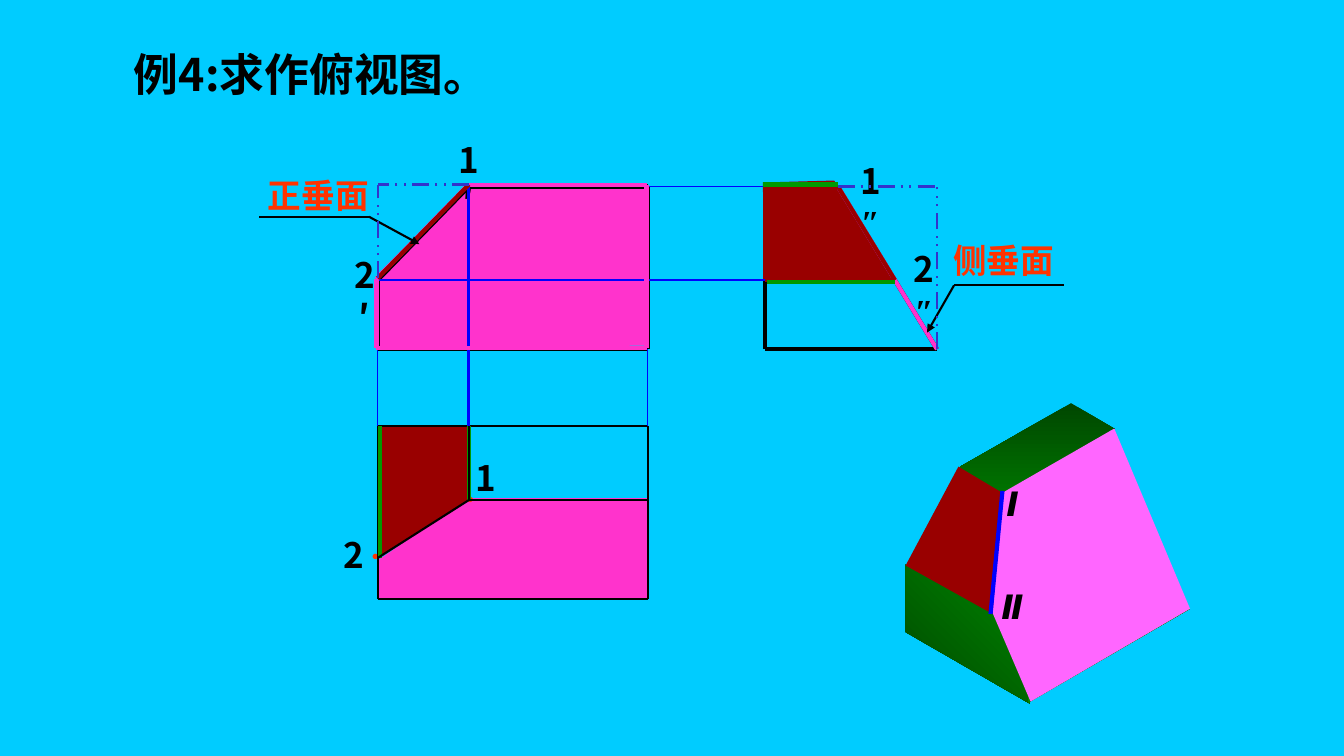
import lxml.etree
import pptx
import pptx.dml.color
import pptx.enum.dml
import pptx.enum.shapes
import pptx.enum.text
import pptx.oxml.ns
import pptx.util

Cm = pptx.util.Cm
Pt = pptx.util.Pt
RGBColor = pptx.dml.color.RGBColor
qn = pptx.oxml.ns.qn

SKY = RGBColor(0x00, 0xCC, 0xFF)
BLACK = RGBColor(0x00, 0x00, 0x00)
BLUE = RGBColor(0x00, 0x00, 0xFF)
INDIGO = RGBColor(0x33, 0x33, 0xCC)
DARK_RED = RGBColor(0x99, 0x00, 0x00)
ORANGE = RGBColor(0xFF, 0x33, 0x00)
PINK = RGBColor(0xFF, 0x33, 0xCC)
LIGHT_PINK = RGBColor(0xFF, 0x66, 0xFF)
GREEN = RGBColor(0x00, 0x99, 0x00)
MID_GREEN = RGBColor(0x00, 0x7A, 0x00)
DARK_GREEN = RGBColor(0x00, 0x47, 0x00)

SANS = "Noto Sans CJK SC"
SERIF = "Times New Roman"
LATO = "Lato"

LEFT, CUT, RIGHT = 9.52, 11.82, 16.33
BACK, RIDGE, BEND, FRONT = 19.28, 21.12, 22.56, 23.62
TOP, STEP, BASE = 4.7, 7.06, 8.8
REAR, FOLD_1, FOLD_2, FACE = 10.74, 12.6, 14.06, 15.09

presentation = pptx.Presentation()
presentation.slide_width = Cm(33.88)
presentation.slide_height = Cm(19.05)
slide = presentation.slides.add_slide(presentation.slide_layouts[5])
slide.background.fill.solid()
slide.background.fill.fore_color.rgb = SKY


def add_face(points, colors, angle=0):
    corners = [(Cm(x), Cm(y)) for x, y in points]
    builder = slide.shapes.build_freeform(*corners[0])
    builder.add_line_segments(corners[1:], close=True)
    shape = builder.convert_to_shape()
    shape.shadow.inherit = False
    shape.line.fill.background()
    if len(colors) == 1:
        shape.fill.solid()
        shape.fill.fore_color.rgb = colors[0]
    else:
        shape.fill.gradient()
        shape.fill.gradient_angle = angle
        for stop, color in zip(shape.fill.gradient_stops, colors):
            stop.color.rgb = color


def add_edges(points, color, width, dash=None, arrow=False):
    for start, end in zip(points, points[1:]):
        connector = slide.shapes.add_connector(
            pptx.enum.shapes.MSO_CONNECTOR.STRAIGHT, *[Cm(value) for value in start + end])
        connector.line.color.rgb = color
        connector.line.width = Pt(width)
        if dash:
            connector.line.dash_style = dash
        properties = connector._element.spPr
        if arrow and start == points[0]:
            lxml.etree.SubElement(properties.find(qn("a:ln")), qn("a:headEnd"), type="triangle")
        lxml.etree.SubElement(properties, qn("a:effectLst"))


title = slide.shapes.title
title.left, title.top, title.width, title.height = Cm(3.12), Cm(1.04), Cm(9.93), Cm(1.63)
title.text_frame.text = "例4:求作俯视图。"
title.text_frame.word_wrap = True
title.text_frame.auto_size = pptx.enum.text.MSO_AUTO_SIZE.NONE
title.text_frame.vertical_anchor = pptx.enum.text.MSO_ANCHOR.TOP
paragraph = title.text_frame.paragraphs[0]
paragraph.alignment = pptx.enum.text.PP_ALIGN.LEFT
run = paragraph.runs[0]
run.font.name = SANS
run.font.size = Pt(32)
run.font.bold = True
run.font.color.rgb = BLACK
lxml.etree.SubElement(run.font._element, qn("a:ea"), typeface=SANS)

faces = [
    ([(19.23, 4.6), (BACK, STEP), (22.5, 7.01), (21.03, 4.55)], [DARK_RED], 0),
    ([(LEFT, 6.91), (LEFT, 8.76), (RIGHT, 8.71), (16.28, 4.65), (11.91, 4.62)], [PINK], 0),
    ([(LEFT, FACE), (RIGHT, FACE), (RIGHT, 12.55), (CUT, 12.55), (LEFT, 14.12)], [PINK], 0),
    ([(LEFT, REAR), (CUT, REAR), (CUT, FOLD_1), (LEFT, FOLD_2)], [DARK_RED], 0),
    ([(22.83, 12.55), (25.91, 14.33), (30.02, 11.94), (27, 10.16)], [DARK_GREEN, GREEN], 270),
    ([(22.83, 12.52), (25.96, 14.25), (25.96, 17.73), (22.83, 15.93)], [DARK_GREEN, GREEN], 45),
    ([(25.93, 14.25), (25.93, 17.7), (30, 15.34), (30, 11.91)], [GREEN, MID_GREEN], 315),
    ([(28.12, 10.8), (30.18, 11.81), (30.02, 15.42), (27.97, 10.87)], [SKY], 0),
    ([(24.03, 13.13), (28.09, 10.8), (30, 15.34), (25.98, 17.68)], [LIGHT_PINK], 0),
    ([(24.13, 11.4), (22.3, 12.24), (22.4, 13.94), (22.96, 14.3), (24.38, 11.38)], [SKY], 0),
    ([(24.16, 11.76), (25.27, 12.42), (25.02, 15.47), (22.83, 14.25)], [DARK_RED], 0),
]
for points, colors, angle in faces:
    add_face(points, colors, angle)

labels = [
    ("2′", 8.81, 6.4, 0.76, 1.07, 25, SANS, BLACK),
    ("2″", 22.81, 6.25, 0.97, 1.07, 25, SANS, BLACK),
    ("1′", 11.43, 3.48, 0.76, 1.07, 25, SANS, BLACK),
    ("1″", 21.46, 4.01, 0.97, 1.07, 25, SANS, BLACK),
    ("1", 11.99, 11.51, 0.51, 1.07, 25, SANS, BLACK),
    ("2", 8.66, 13.44, 0.51, 1.07, 25, SANS, BLACK),
    ("Ⅰ", 25.32, 12.17, 0.41, 1.02, 24, LATO, BLACK),
    ("Ⅱ", 25.17, 14.76, 0.71, 1.02, 24, LATO, BLACK),
    ("●", 11.51, 12.24, 0.69, 0.64, 9, SERIF, ORANGE),
    ("●", 9.12, 13.69, 0.69, 0.64, 9, SERIF, ORANGE),
    ("正垂面", 6.5, 4.29, 3.05, 1.27, 24, SANS, ORANGE),
    ("侧垂面", 23.77, 5.92, 3.05, 1.27, 24, SANS, ORANGE),
]
for text, left, top, width, height, size, font_name, color in labels:
    box = slide.shapes.add_textbox(Cm(left), Cm(top), Cm(width), Cm(height))
    frame = box.text_frame
    frame.word_wrap = True
    if color == BLACK:
        frame.margin_left = frame.margin_right = frame.margin_top = frame.margin_bottom = 0
    else:
        frame.vertical_anchor = pptx.enum.text.MSO_ANCHOR.MIDDLE
    paragraph = frame.paragraphs[0]
    paragraph.alignment = pptx.enum.text.PP_ALIGN.CENTER
    paragraph.text = text.rstrip("″")
    if text.endswith("″"):
        paragraph.add_run().text = "″"
    for run in paragraph.runs:
        is_mark = run.text == "″"
        run_font = SERIF if is_mark else font_name
        run.font.name = run_font
        run.font.size = Pt(24 if is_mark else size)
        run.font.bold = True
        if font_name == LATO:
            run.font.italic = True
        run.font.color.rgb = color
        lxml.etree.SubElement(run.font._element, qn("a:ea"), typeface=run_font)

front_outline = [(CUT, TOP), (RIGHT, TOP), (RIGHT, BASE), (LEFT, BASE), (LEFT, STEP), (CUT, TOP)]
pink_outline = [(x - 0.03, y - 0.03) for x, y in front_outline]
dash = pptx.enum.dml.MSO_LINE.DASH_DOT_DOT

add_edges([(RIDGE, TOP), (FRONT, BASE), (BACK, BASE), (BACK, TOP), (RIDGE, TOP)], BLACK, 3)
add_edges(front_outline, BLACK, 3)
add_edges([(LEFT, REAR), (RIGHT, REAR), (RIGHT, FACE), (LEFT, FACE), (LEFT, REAR)], BLACK, 1.5)
add_edges([(CUT, TOP), (CUT, FOLD_1)], BLUE, 0)
add_edges([(RIDGE, TOP), (FRONT, BASE)], PINK, 3)
add_edges([(BACK, TOP), (RIDGE, TOP), (BEND, STEP), (BACK, STEP), (BACK, TOP)], DARK_RED, 3)
add_edges([(LEFT, STEP), (BACK, STEP)], BLUE, 1)
add_edges([(CUT, TOP), (BACK, TOP)], BLUE, 1)
add_edges([(LEFT, BASE), (LEFT, REAR)], BLUE, 1)
add_edges([(RIGHT, BASE), (RIGHT, REAR)], BLUE, 1)
add_edges([(25.27, 12.37), (24.97, 15.47)], BLUE, 3)
add_edges([(19.23, 4.65), (RIDGE, 4.65)], GREEN, 3)
add_edges([(CUT, REAR), (CUT, FOLD_1)], GREEN, 3)
add_edges([(9.58, REAR), (9.58, FOLD_2)], GREEN, 3)
add_edges([(19.33, 7.11), (BEND, 7.11)], GREEN, 3)
add_edges([(CUT, REAR), (CUT, FOLD_1), (LEFT, FOLD_2)], BLACK, 1.5)
add_edges([(CUT, FOLD_1), (RIGHT, FOLD_1)], BLACK, 1.5)
add_edges(pink_outline, PINK, 3)
add_edges([(CUT, 4.65), (LEFT, 7.01)], DARK_RED, 3)
add_edges([(23.37, 8.38), (24.05, 7.19), (26.82, 7.19)], BLACK, 1.5, arrow=True)
add_edges([(10.57, 6.15), (9.3, 5.46), (6.53, 5.46)], BLACK, 1.5, arrow=True)
add_edges([(LEFT, 7.01), (LEFT, 4.65)], INDIGO, 1.5, dash)
add_edges([(CUT, 4.65), (LEFT, 4.65)], INDIGO, 1.5, dash)
add_edges([(FRONT, BASE), (FRONT, TOP)], INDIGO, 1.5, dash)
add_edges([(RIDGE, TOP), (FRONT, TOP)], INDIGO, 1.5, dash)

presentation.save("out.pptx")
